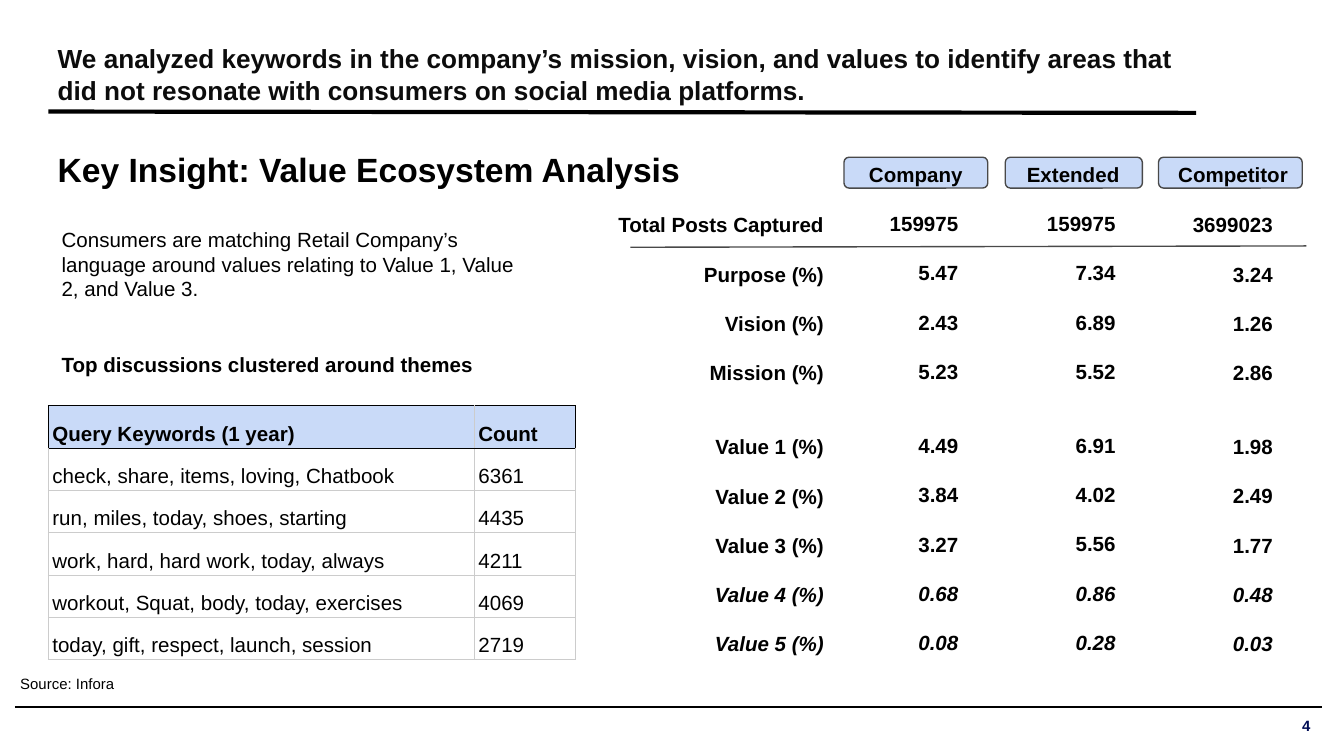
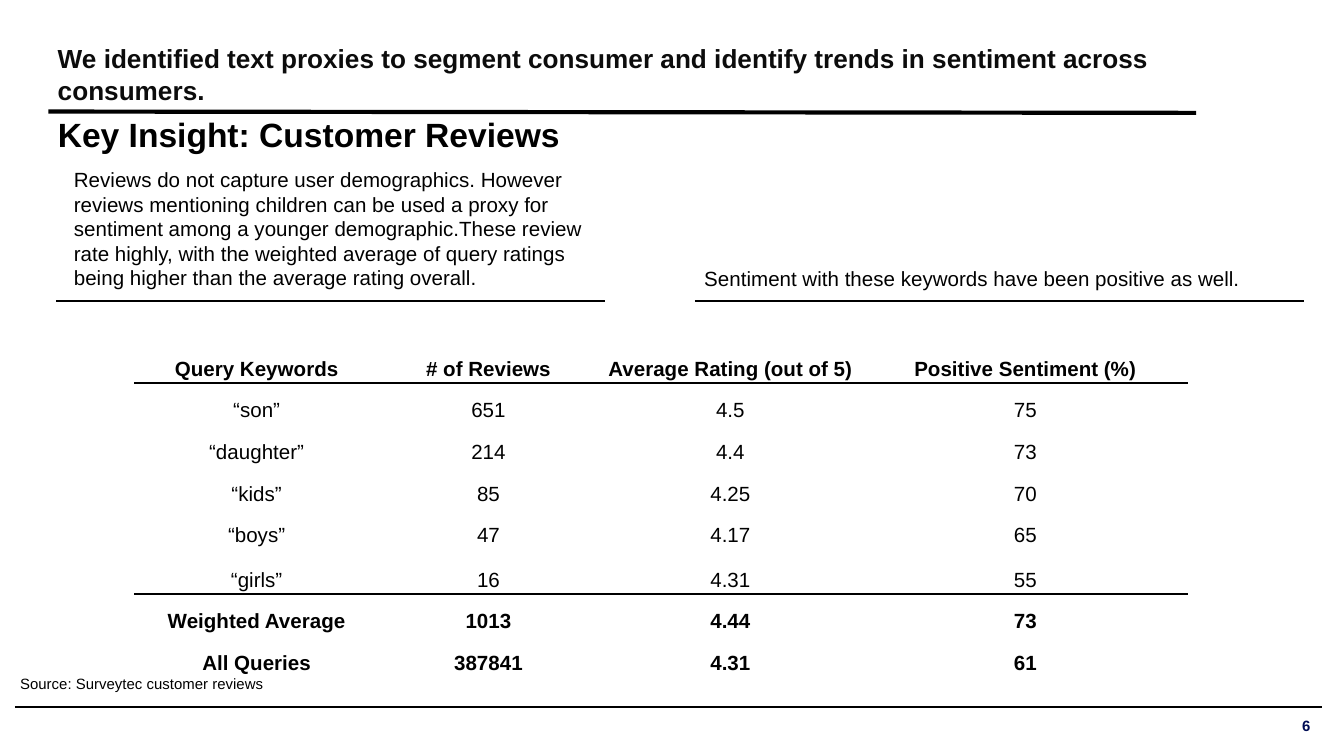
"""Build two insight slides: value ecosystem analysis and customer reviews."""
import lxml.etree
import pptx
import pptx.dml.color
import pptx.enum.shapes
import pptx.enum.text
import pptx.oxml.ns
import pptx.util

Inches = pptx.util.Inches
Pt = pptx.util.Pt
qn = pptx.oxml.ns.qn
rgb = pptx.dml.color.RGBColor.from_string
ALIGN = pptx.enum.text.PP_ALIGN
ANCHOR = pptx.enum.text.MSO_ANCHOR

FONT = "Arial"
BLACK = "000000"
TITLE_COLOR = "0C0C0C"
NUMBER_COLOR = "000D55"
PALE_BLUE = "C9DAF8"
DARK_GRAY = "494949"
GRID_GRAY = "CCCCCC"
NO_TABLE_STYLE = "{2D5ABB26-0587-4C30-8999-92F81FD0307C}"


def add_text(slide, box, text, size=11, bold=False, color=BLACK, align=ALIGN.LEFT,
             anchor=ANCHOR.TOP, margins=(0.1, 0.1)):
    shape = slide.shapes.add_textbox(*map(Inches, box))
    frame = shape.text_frame
    frame.word_wrap = True
    frame.vertical_anchor = anchor
    frame.margin_left = frame.margin_right = Inches(margins[0])
    frame.margin_top = frame.margin_bottom = Inches(margins[1])
    frame.text = text
    for paragraph in frame.paragraphs:
        paragraph.alignment = align
        font = paragraph.runs[0].font
        font.name, font.size, font.bold = FONT, Pt(size), bold
        font.color.rgb = rgb(color)
    return frame


def add_line(slide, start, end, width, color=BLACK):
    line = slide.shapes.add_connector(
        pptx.enum.shapes.MSO_CONNECTOR.STRAIGHT, *map(Inches, start + end))
    line.line.color.rgb = rgb(color)
    line.line.width = Pt(width)
    lxml.etree.SubElement(line._element.spPr, qn("a:effectLst"))


presentation = pptx.Presentation()
presentation.slide_width = Inches(10)
presentation.slide_height = presentation.slide_width * 9 // 16

slide_texts = [
    ("We analyzed keywords in the company’s mission, vision, and values to identify areas "
     "that did not resonate with consumers on social media platforms.",
     "Key Insight: Value Ecosystem Analysis", (0.36, 1.04, 5.36, 0.44),
     "Source: Infora", 2.01, "4"),
    ("We identified text proxies to segment consumer and identify trends in sentiment "
     "across consumers.",
     "Key Insight: Customer Reviews", (0.36, 0.78, 4.39, 0.57),
     "Source: Surveytec customer reviews", 9.33, "6"),
]
slides = []
for title, insight, insight_box, source, source_width, number in slide_texts:
    slide = presentation.slides.add_slide(presentation.slide_layouts[6])
    slides.append(slide)
    add_line(slide, (0.11, 5.26), (9.84, 5.26), 0.75)
    add_text(slide, (0.36, 0.23, 8.74, 0.64), title, 14, True, TITLE_COLOR,
             anchor=ANCHOR.MIDDLE, margins=(0.07, 0.07))
    add_line(slide, (0.36, 0.83), (8.9, 0.84), 2.25)
    add_text(slide, insight_box, insight, 18, True, margins=(0.07, 0.07))
    add_text(slide, (0.08, 4.98, source_width, 0.33), source, 8, margins=(0.07, 0.04))
    add_text(slide, (9.28, 5.29, 0.54, 0.21), number, 8, True, NUMBER_COLOR, ALIGN.RIGHT,
             ANCHOR.MIDDLE, (0.07, 0.04))
value_slide, review_slide = slides

for name, left, width, text_left, text_width in [
        ("Company", 6.28, 1.07, 6.28, 1.07),
        ("Extended", 7.48, 1.02, 7.52, 0.93),
        ("Competitor", 8.62, 1.07, 8.64, 1.07)]:
    shape = value_slide.shapes.add_shape(
        pptx.enum.shapes.MSO_SHAPE.ROUNDED_RECTANGLE,
        Inches(left), Inches(1.17), Inches(width), Inches(0.23))
    shape.shadow.inherit = False
    shape.fill.solid()
    shape.fill.fore_color.rgb = rgb(PALE_BLUE)
    shape.line.color.rgb = rgb(DARK_GRAY)
    shape.line.width = Pt(0.75)
    add_text(value_slide, (text_left, 1.11, text_width, 0.3), name, bold=True,
             align=ALIGN.CENTER)

value_columns = [
    ((4.16, 1.48, 2.07, 3.72),
     ["Total Posts Captured", "Purpose (%)", "Vision (%)", "Mission (%)", "Value 1 (%)",
      "Value 2 (%)", "Value 3 (%)", "Value 4 (%)", "Value 5 (%)"]),
    ((6.4, 1.47, 0.83, 3.72),
     ["159975", "5.47", "2.43", "5.23", "4.49", "3.84", "3.27", "0.68", "0.08"]),
    ((7.57, 1.47, 0.83, 3.54),
     ["159975", "7.34", "6.89", "5.52", "6.91", "4.02", "5.56", "0.86", "0.28"]),
    ((8.74, 1.48, 0.83, 3.54),
     ["3699023", "3.24", "1.26", "2.86", "1.98", "2.49", "1.77", "0.48", "0.03"]),
]
line_height = 13.2
for box, entries in value_columns:
    frame = add_text(value_slide, box, "\n".join(entries), bold=True, align=ALIGN.RIGHT)
    for paragraph in frame.paragraphs[1:]:
        paragraph.space_before = Pt(line_height)
    frame.paragraphs[4].space_before = Pt(2 * line_height)
    for paragraph in frame.paragraphs[-2:]:
        paragraph.runs[0].font.italic = True
add_line(value_slide, (4.69, 1.84), (9.72, 1.83), 0.75, DARK_GRAY)

add_text(value_slide, (0.36, 1.59, 3.7, 0.76),
         "Consumers are matching Retail Company’s language around values relating to "
         "Value 1, Value 2, and Value 3.")
add_text(value_slide, (0.36, 2.53, 3.7, 0.39),
         "Top discussions clustered around themes", bold=True)

add_text(review_slide, (0.48, 1.16, 4.14, 1.08),
         "Reviews do not capture user demographics. However reviews mentioning children can "
         "be used a proxy for sentiment among a younger demographic.These review rate highly, "
         "with the weighted average of query ratings being higher than the average rating "
         "overall.", anchor=ANCHOR.MIDDLE, margins=(0.07, 0.07))
add_text(review_slide, (5.17, 1.9, 4.53, 0.34),
         "Sentiment with these keywords have been positive as well.",
         anchor=ANCHOR.MIDDLE, margins=(0.07, 0.07))
for left, right in [(0.42, 4.5), (5.17, 9.7)]:
    add_line(review_slide, (left, 2.24), (right, 2.24), 1)

keyword_rows = [
    ("Query Keywords (1 year)", "Count"),
    ("check, share, items, loving, Chatbook", "6361"),
    ("run, miles, today, shoes, starting", "4435"),
    ("work, hard, hard work, today, always", "4211"),
    ("workout, Squat, body, today, exercises", "4069"),
    ("today, gift, respect, launch, session", "2719"),
]
review_rows = [
    ("Query Keywords", "# of Reviews", "Average Rating (out of 5)", "Positive Sentiment (%)"),
    ("“son”", "651", "4.5", "75"),
    ("“daughter”", "214", "4.4", "73"),
    ("“kids”", "85", "4.25", "70"),
    ("“boys”", "47", "4.17", "65"),
    ("“girls”", "16", "4.31", "55"),
    ("Weighted Average", "1013", "4.44", "73"),
    ("All Queries", "387841", "4.31", "61"),
]
tables = [
    (value_slide, keyword_rows, (0.36, 3.02), [3.17, 0.75], [0.24] * 6,
     ALIGN.LEFT, 1.5, GRID_GRAY, PALE_BLUE, (0,), (0,)),
    (review_slide, review_rows, (1, 2.39), [1.82, 1.63, 1.97, 2.42],
     [0.46] + [0.31] * 4 + [0.33] + [0.31] * 2,
     ALIGN.CENTER, 1.15, None, None, (0, 5), (0, 6, 7)),
]
for (slide, rows, corner, widths, heights, align, spacing, grid_color, header_fill,
     ruled_rows, bold_rows) in tables:
    table = slide.shapes.add_table(
        len(rows), len(widths),
        *map(Inches, (*corner, sum(widths), sum(heights)))).table
    table.first_row = table.horz_banding = False
    table._tbl.tblPr.find(qn("a:tableStyleId")).text = NO_TABLE_STYLE
    for column, width in zip(table.columns, widths):
        column.width = Inches(width)
    for row_index, row in enumerate(rows):
        table.rows[row_index].height = Inches(heights[row_index])
        for column_index, text in enumerate(row):
            cell = table.cell(row_index, column_index)
            edges = dict.fromkeys("LRTB", grid_color)
            if row_index in ruled_rows:
                edges["B"] = BLACK
            if row_index - 1 in ruled_rows:
                edges["T"] = BLACK
            if grid_color and row_index == 0:
                edges["T"] = edges["LR"[column_index]] = BLACK
            properties = cell._tc.get_or_add_tcPr()
            for side, color in edges.items():
                edge = lxml.etree.SubElement(properties, qn(f"a:ln{side}"), w=str(Pt(0.75)))
                if color:
                    fill = lxml.etree.SubElement(edge, qn("a:solidFill"))
                    lxml.etree.SubElement(fill, qn("a:srgbClr"), val=color)
                else:
                    lxml.etree.SubElement(edge, qn("a:noFill"))
            if header_fill and row_index == 0:
                cell.fill.solid()
                cell.fill.fore_color.rgb = rgb(header_fill)
            else:
                cell.fill.background()
            cell.vertical_anchor = ANCHOR.BOTTOM
            cell.margin_left = cell.margin_right = Inches(0.03)
            cell.margin_top = cell.margin_bottom = Inches(0.02)
            cell.text_frame.text = text
            paragraph = cell.text_frame.paragraphs[0]
            paragraph.alignment = align
            paragraph.line_spacing = spacing
            font = paragraph.runs[0].font
            font.name, font.size, font.bold = FONT, Pt(11), row_index in bold_rows
            font.color.rgb = rgb(BLACK)

presentation.save("out.pptx")
